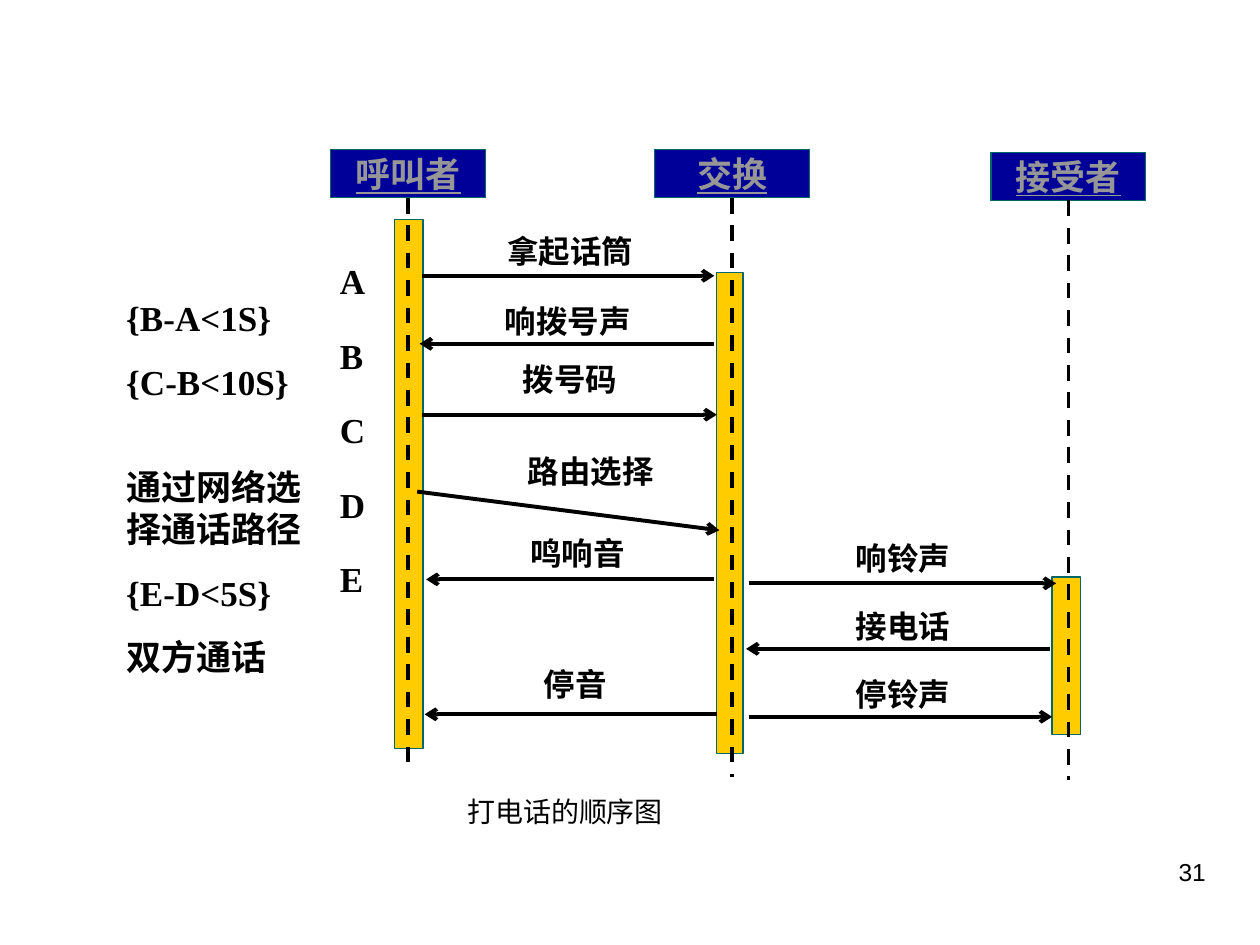
from dataclasses import dataclass

from lxml.etree import SubElement
from pptx import Presentation
from pptx.dml.color import RGBColor
from pptx.enum.dml import MSO_LINE
from pptx.enum.shapes import MSO_CONNECTOR, MSO_SHAPE
from pptx.enum.text import MSO_ANCHOR as Anchor, MSO_AUTO_SIZE as AutoSize, PP_ALIGN as Align
from pptx.oxml.ns import qn
from pptx.util import Cm, Pt

SERIF = "Times New Roman"
BLACK, NAVY, GOLD, TEAL, GREY = "000000", "000099", "FFCC00", "006666", "969696"
HEADER_W, HEADER_H = 3.12, 0.97
LABEL_W, LABEL_H = 4.45, 1.02


@dataclass
class Participant:
    """A header with its lifeline and activation bar; lengths in cm."""
    name: str
    x: float
    top: float
    bottom: float
    bar: tuple[float, float, float, float]


@dataclass
class Message:
    """An arrow from start to end, with the top left corner of its label; in cm."""
    text: str
    start: tuple[float, float]
    end: tuple[float, float]
    label: tuple[float, float]


PARTICIPANTS = [
    Participant("呼叫者", 8.23, 3.02, 15.6, (7.95, 4.42, 0.58, 10.67)),
    Participant("交换", 14.76, 3.02, 15.67, (14.45, 5.49, 0.53, 9.7)),
    Participant("接受者", 21.54, 3.07, 15.72, (21.21, 11.63, 0.58, 3.18)),
]
MESSAGES = [
    Message("拿起话筒", (8.51, 5.56), (14.4, 5.56), (9.27, 4.55)),
    Message("响拨号声", (14.4, 6.93), (8.46, 6.93), (9.22, 5.97)),
    Message("拨号码", (8.51, 8.36), (14.45, 8.36), (9.27, 7.14)),
    Message("路由选择", (8.41, 9.91), (14.5, 10.69), (9.68, 8.99)),
    Message("鸣响音", (14.4, 11.68), (8.59, 11.68), (9.42, 10.64)),
    Message("停音", (14.45, 14.4), (8.56, 14.4), (9.37, 13.28)),
    Message("响铃声", (15.09, 11.76), (21.29, 11.76), (15.98, 10.74)),
    Message("接电话", (21.16, 13.08), (15.04, 13.08), (15.98, 12.12)),
    Message("停铃声", (15.09, 14.45), (21.21, 14.45), (15.98, 13.49)),
]
# Text and space before it in points
NOTES = [
    ("{B-A<1S}", 0),
    ("{C-B<10S}", 12.5),
    ("通过网络选择通话路径", 36),
    ("{E-D<5S}", 12.5),
    ("双方通话", 12.5),
]


def rgb(color: str) -> RGBColor:
    return RGBColor.from_string(color)


def add_run(p, text: str, size: float, color: str = BLACK, bold: bool = True,
            font: str = SERIF, underline: bool = False) -> None:
    r = p.add_run()
    r.text = text
    r.font.name, r.font.size = font, Pt(size)
    r.font.bold, r.font.underline = bold, underline
    r.font.color.rgb = rgb(color)


def add_rect(slide, left: float, top: float, width: float, height: float, fill: str):
    s = slide.shapes.add_shape(MSO_SHAPE.RECTANGLE, Cm(left), Cm(top), Cm(width), Cm(height))
    s.shadow.inherit = False
    s.fill.solid()
    s.fill.fore_color.rgb = rgb(fill)
    s.line.color.rgb = rgb(TEAL)
    s.line.width = Pt(0.75)
    return s


def add_line(slide, start: tuple[float, float], end: tuple[float, float]):
    c = slide.shapes.add_connector(
        MSO_CONNECTOR.STRAIGHT, *(Cm(v) for v in (*start, *end)))
    c.line.color.rgb = rgb(BLACK)
    c.line.width = Pt(2.25)
    SubElement(c._element.spPr, qn("a:effectLst"))
    return c


def add_text_frame(slide, left: float, top: float, width: float, height: float):
    tf = slide.shapes.add_textbox(Cm(left), Cm(top), Cm(width), Cm(height)).text_frame
    tf.word_wrap = True
    return tf


def place(sp, left: float, top: float, width: float, height: float):
    """Move a placeholder and return its text frame, top anchored."""
    sp.left, sp.top, sp.width, sp.height = Cm(left), Cm(top), Cm(width), Cm(height)
    tf = sp.text_frame
    tf.word_wrap, tf.auto_size = True, AutoSize.NONE
    tf.vertical_anchor = Anchor.TOP
    return tf


def next_paragraph(tf, index: int):
    return tf.add_paragraph() if index else tf.paragraphs[0]


def add_header(slide, who: Participant):
    s = add_rect(slide, who.x - HEADER_W / 2, who.top, HEADER_W, HEADER_H, NAVY)
    tf = s.text_frame
    tf.word_wrap, tf.vertical_anchor = False, Anchor.MIDDLE
    p = tf.paragraphs[0]
    p.alignment = Align.CENTER
    add_run(p, who.name, 20, GREY, underline=True)
    return s


def add_lifeline(slide, who: Participant, header) -> None:
    c = add_line(slide, (who.x, who.top + HEADER_H), (who.x, who.bottom))
    c.line.dash_style = MSO_LINE.DASH
    c.begin_connect(header, 2)


def add_message(slide, msg: Message) -> None:
    c = add_line(slide, msg.start, msg.end)
    SubElement(c.line._get_or_add_ln(), qn("a:tailEnd"), type="arrow")
    p = add_text_frame(slide, *msg.label, LABEL_W, LABEL_H).paragraphs[0]
    p.alignment = Align.CENTER
    add_run(p, msg.text, 18)


def add_notes_list(sp) -> None:
    tf = place(sp, 2.29, 5.85, 4.55, 9.25)
    for i, (text, space) in enumerate(NOTES):
        p = next_paragraph(tf, i)
        pPr = p._p.get_or_add_pPr()
        pPr.set("marL", "0")
        pPr.set("indent", "0")
        SubElement(pPr, qn("a:buNone"))
        p.space_before = Pt(space)
        add_run(p, text, 20)


def add_time_marks(slide) -> None:
    tf = add_text_frame(slide, 6.6, 4.98, 1.75, 7.24)
    for i, mark in enumerate("ABCDE"):
        p = next_paragraph(tf, i)
        p.line_spacing = 1.15
        p.space_before = Pt(15 if i else 0)
        add_run(p, mark, 20)


def main() -> None:
    prs = Presentation()
    prs.slide_width, prs.slide_height = Cm(25.4), Cm(19.05)
    slide = prs.slides.add_slide(prs.slide_layouts[1])

    p = place(slide.shapes.title, 9.17, 15.88, 10.36, 0.94).paragraphs[0]
    p.alignment = Align.LEFT
    add_run(p, "打电话的顺序图", 16, bold=False)
    add_notes_list(slide.placeholders[1])
    add_time_marks(slide)

    for who in PARTICIPANTS:
        add_rect(slide, *who.bar, GOLD)
        add_lifeline(slide, who, add_header(slide, who))
    for msg in MESSAGES:
        add_message(slide, msg)

    p = add_text_frame(slide, 18.21, 17.15, 6.35, 1.32).paragraphs[0]
    p.alignment = Align.RIGHT
    add_run(p, "31", 14, bold=False, font="Arial")
    prs.save("out.pptx")


if __name__ == "__main__":
    main()
